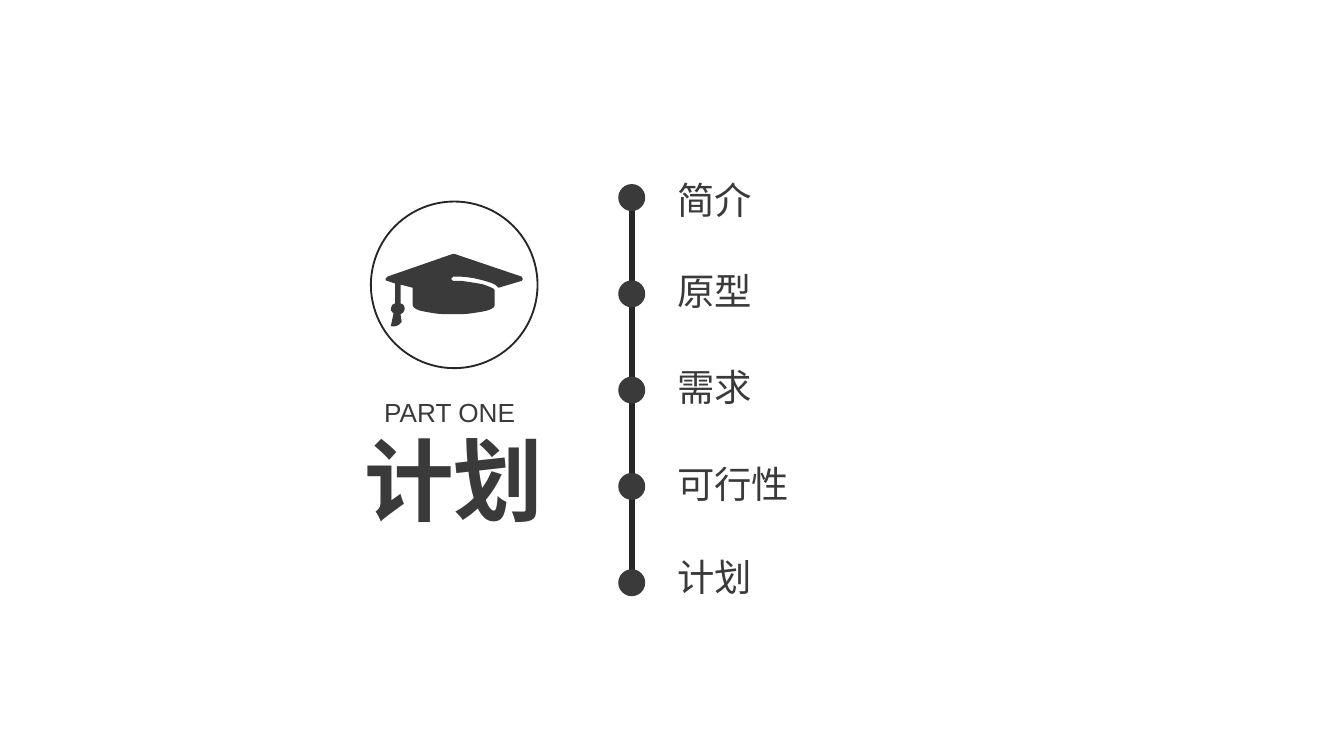
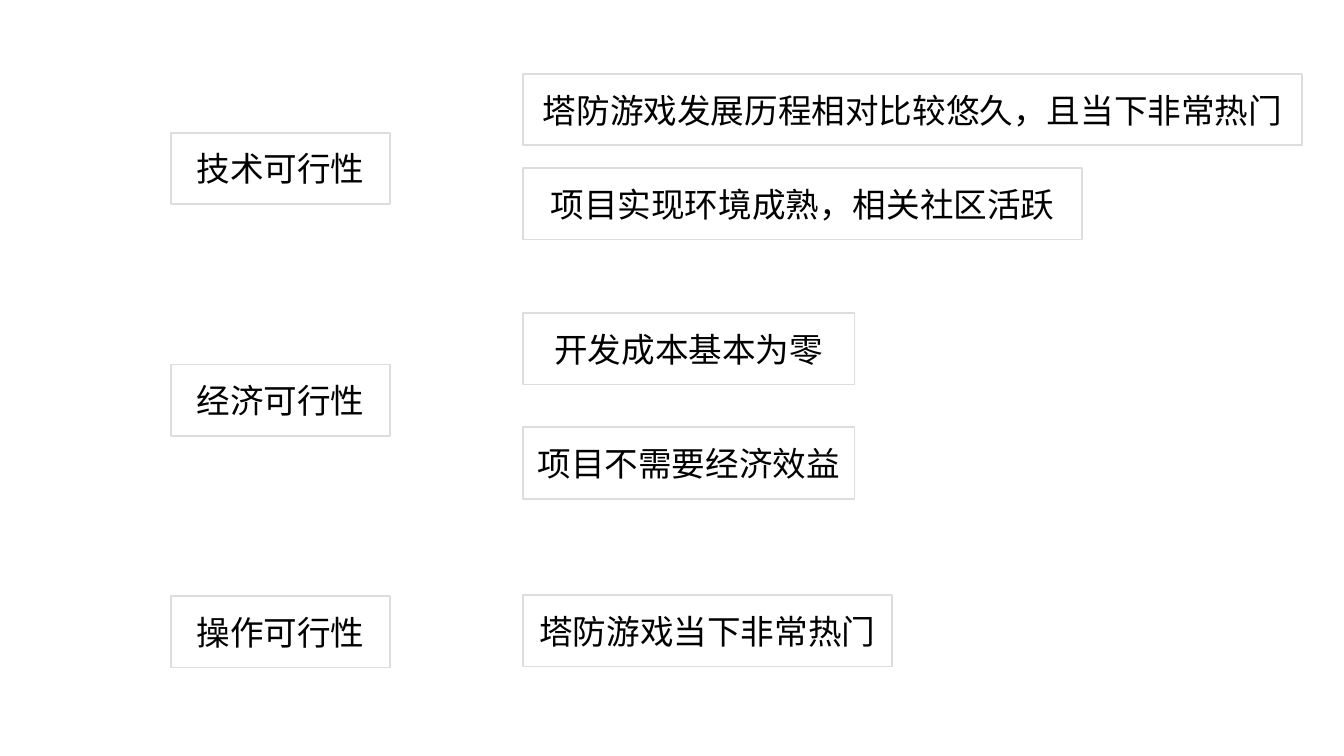
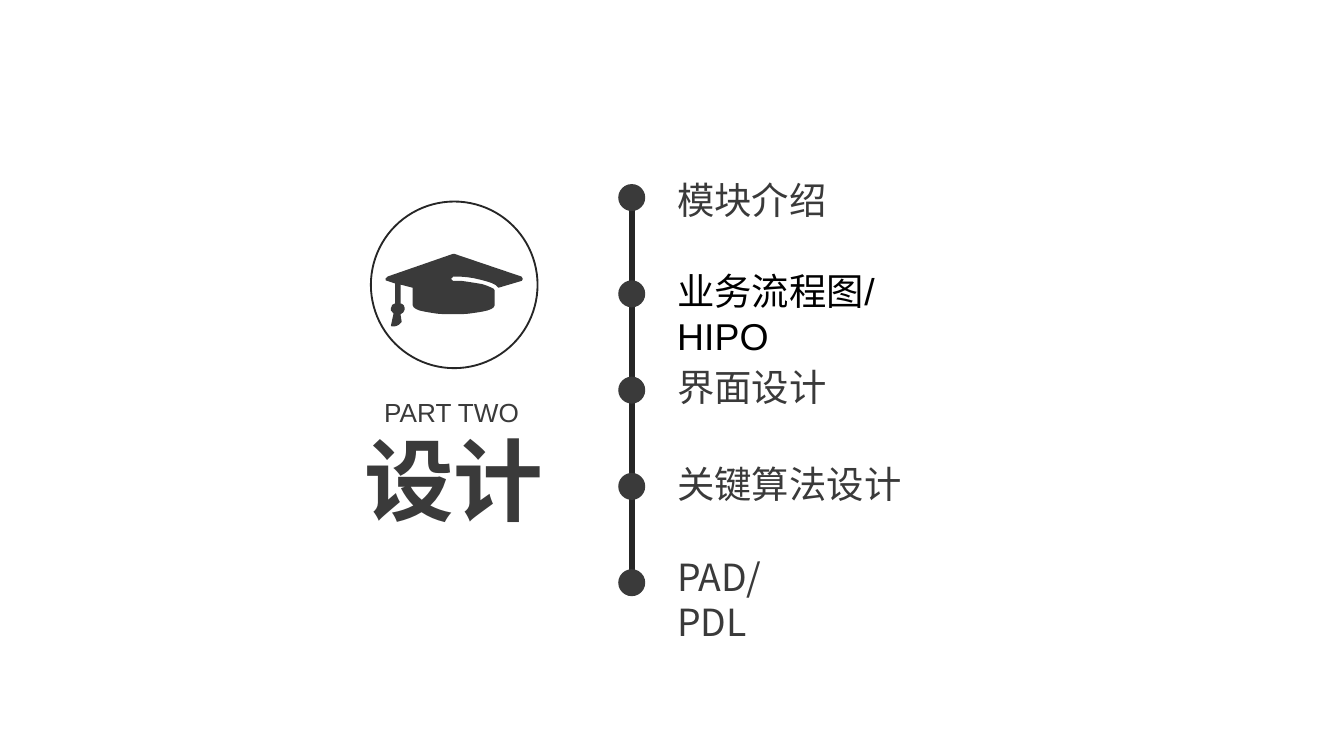
"""Build two section openers and a feasibility overview for a tower defence project."""
from lxml import etree
from pptx import Presentation
from pptx import util as u
from pptx.dml.color import RGBColor
from pptx.enum import shapes, text
from pptx.oxml import ns

DARK = RGBColor(0x3A, 0x3A, 0x3A)
OUTLINE = RGBColor(0x26, 0x26, 0x26)
BORDER = RGBColor(0xDD, 0xDD, 0xDD)
WHITE = RGBColor(0xFF, 0xFF, 0xFF)
BLACK = RGBColor(0, 0, 0)
LATIN, CJK = "Arial", "Noto Sans CJK SC"

LABEL_TOPS = (3.23, 4.95, 6.76, 8.59, 10.36)
DOT_TOP, DOT_STEP, DOT_SIZE = 3.48, 1.82, 0.51
CAP_START = (3, 43)
CAP_OUTLINE = (
    (127, 0), (130, 0), (257, 43),
    (257, 43, 259, 46, 259, 48), (257, 51), (213, 64),
    (203, 51, 163, 43, 127, 43), (127, 43, 124, 46, 124, 48), (127, 51),
    (170, 51, 203, 61, 206, 69), (206, 97),
    (206, 107, 170, 114, 127, 114), (84, 114, 51, 107, 51, 97),
    (51, 64), (28, 58), (28, 94),
    (33, 94, 36, 99, 36, 104), (36, 107, 33, 112, 28, 114), (30, 127),
    (33, 132, 10, 142, 10, 135), (15, 112),
    (13, 112, 10, 107, 10, 104), (10, 99, 13, 94, 18, 94),
    (18, 56), (3, 51), (3, 51, 0, 51, 0, 48), (0, 46, 3, 43, 3, 43),
)


def format_text(tf, content, size, color, font=CJK, bold=False, align=None):
    """Set the text of a frame and style its only run."""
    tf.text = content
    p = tf.paragraphs[0]
    p.alignment = align
    r = p.runs[0]
    r.font.size, r.font.bold, r.font.name = u.Pt(size), bold, font
    r.font.color.rgb = color
    ea = etree.SubElement(r.font._element, ns.qn("a:ea"))
    ea.set("typeface", CJK)


def add_label(s, x, y, w, h, content, size, color=DARK, **style):
    """Add a wrapping text box."""
    tf = s.shapes.add_textbox(u.Cm(x), u.Cm(y), u.Cm(w), u.Cm(h)).text_frame
    tf.word_wrap = True
    format_text(tf, content, size, color, **style)


def paint(sp, fill=None, line=None):
    """Set the fill and the thin outline of a shape, without shadow."""
    sp.shadow.inherit = False
    if fill is None:
        sp.fill.background()
    else:
        sp.fill.solid()
        sp.fill.fore_color.rgb = fill
    if line is None:
        sp.line.fill.background()
    else:
        sp.line.color.rgb = line
        sp.line.width = u.Pt(1)


def add_circle(s, x, y, size, **colors):
    """Add a circle."""
    sp = s.shapes.add_shape(shapes.MSO_SHAPE.OVAL, u.Cm(x), u.Cm(y), u.Cm(size), u.Cm(size))
    paint(sp, **colors)


def add_box(s, x, y, w, content):
    """Add a bordered box with centred text."""
    sp = s.shapes.add_shape(shapes.MSO_SHAPE.RECTANGLE, u.Cm(x), u.Cm(y), u.Cm(w), u.Cm(1.35))
    paint(sp, fill=WHITE, line=BORDER)
    sp.text_frame.word_wrap = True
    sp.text_frame.vertical_anchor = text.MSO_ANCHOR.MIDDLE
    format_text(sp.text_frame, content, 18, BLACK, align=text.PP_ALIGN.CENTER)


def curve_points(start, curve, steps=8):
    """Return points along a cubic curve."""
    x1, y1, x2, y2, x3, y3 = curve
    points = []
    for i in range(1, steps + 1):
        t = i / steps
        v = 1 - t
        points.append(tuple(
            v ** 3 * a + 3 * v * v * t * b + 3 * v * t * t * c + t ** 3 * d
            for a, b, c, d in zip(start, (x1, y1), (x2, y2), (x3, y3))))
    return points


def add_cap(s, x, y):
    """Draw the graduation cap."""
    points = [CAP_START]
    for part in CAP_OUTLINE:
        points += [part] if len(part) == 2 else curve_points(points[-1], part)
    fb = s.shapes.build_freeform(*CAP_START, scale=u.Cm(0.01))
    fb.add_line_segments(points[1:], close=True)
    paint(fb.convert_to_shape(u.Cm(x), u.Cm(y)), fill=DARK)


def add_timeline(s, x):
    """Draw the vertical line and its evenly spaced dots."""
    line = s.shapes.add_connector(
        shapes.MSO_CONNECTOR.STRAIGHT, u.Cm(x), u.Cm(3.53), u.Cm(x), u.Cm(11))
    line.line.color.rgb = OUTLINE
    line.line.width = u.Pt(3)
    etree.SubElement(line._element.spPr, ns.qn("a:effectLst"))
    for i in range(len(LABEL_TOPS)):
        add_circle(s, x - DOT_SIZE / 2, DOT_TOP + i * DOT_STEP, DOT_SIZE, fill=DARK)


def new_slide(prs):
    """Add a blank slide."""
    return prs.slides.add_slide(prs.slide_layouts[6])


def add_section(prs, part, title, topics):
    """Add a section opener; a topic is its text, or text, width and style."""
    s = new_slide(prs)
    add_circle(s, 7.01, 3.81, 3.15, line=OUTLINE)
    add_cap(s, 7.29, 4.8)
    add_label(s, 6.55, 7.9, 4.06, 2.31, title, 48,
              font=LATIN, bold=True, align=text.PP_ALIGN.CENTER)
    add_label(s, 7.01, 7.37, 3.15, 0.86, part, 14, font=LATIN)
    add_timeline(s, 11.94)
    for top, topic in zip(LABEL_TOPS, topics):
        if isinstance(topic, str):
            topic = (topic, 0.55 + 0.71 * len(topic), {})
        content, width, style = topic
        add_label(s, 12.55, top, width, 1.12, content, 20, **style)


def add_feasibility(prs):
    """Add the kinds of feasibility and the reasons for each."""
    s = new_slide(prs)
    for i, kind in enumerate(("技术可行性", "经济可行性", "操作可行性")):
        add_box(s, 3.23, 2.51 + i * 4.38, 4.14, kind)
    for top, width, reason in (
            (1.4, 14.73, "塔防游戏发展历程相对比较悠久，且当下非常热门"),
            (3.18, 10.57, "项目实现环境成熟，相关社区活跃"),
            (5.92, 6.27, "开发成本基本为零"),
            (8.08, 6.27, "项目不需要经济效益"),
            (11.25, 6.98, "塔防游戏当下非常热门")):
        add_box(s, 9.88, top, width, reason)


def main():
    """Build and save the presentation."""
    prs = Presentation()
    prs.slide_width, prs.slide_height = u.Cm(25.4), u.Cm(14.29)
    add_section(prs, "PART ONE", "计划", ("简介", "原型", "需求", "可行性", "计划"))
    add_feasibility(prs)
    add_section(prs, "PART TWO", "设计", (
        "模块介绍",
        ("业务流程图/HIPO", 5.9, {"font": LATIN, "color": BLACK}),
        "界面设计",
        "关键算法设计",
        ("PAD/PDL", 3.2, {}),
    ))
    prs.save("out.pptx")


if __name__ == "__main__":
    main()
